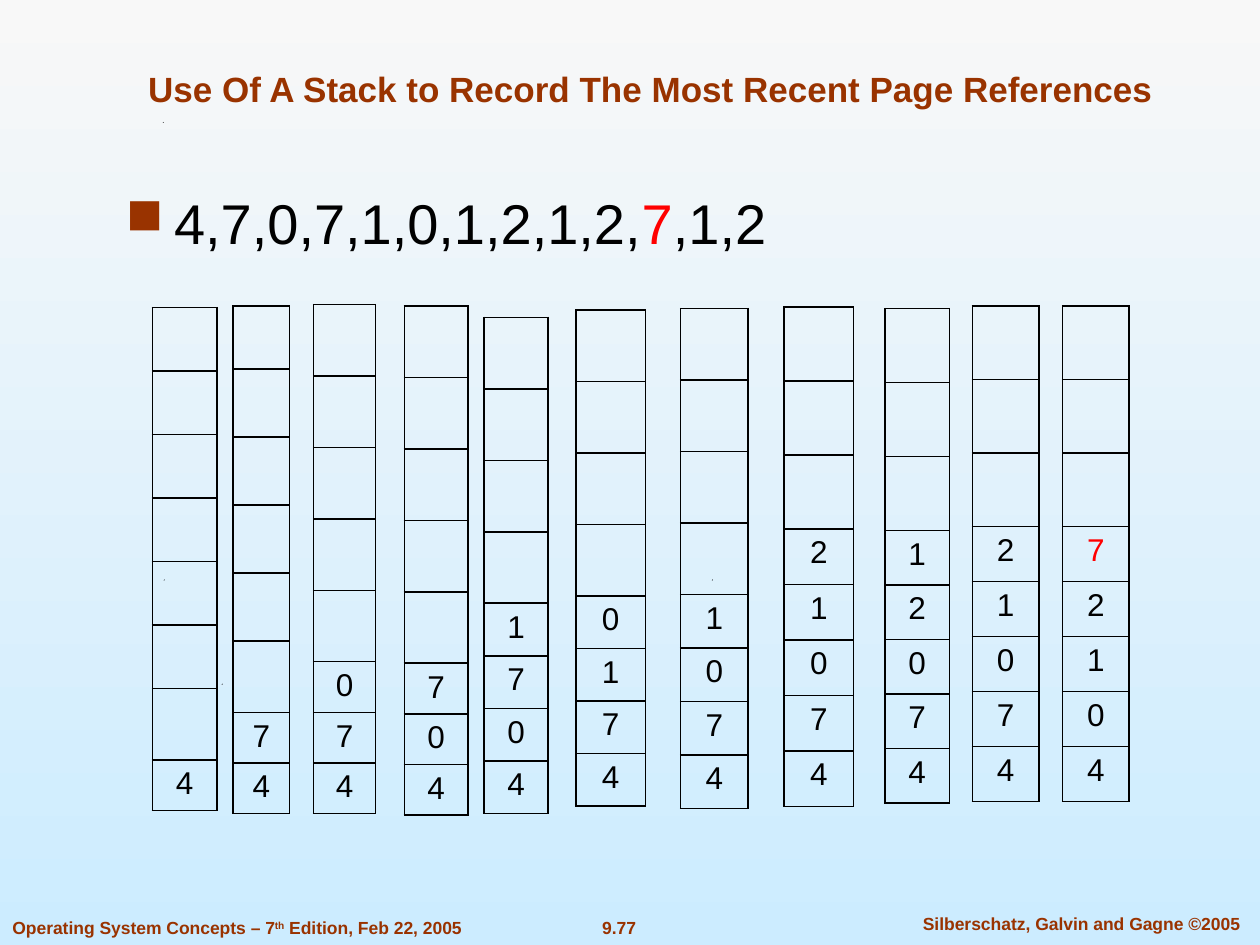
from lxml import etree
from pptx import Presentation
from pptx import util as u
from pptx.dml.color import RGBColor
from pptx.enum import text
from pptx.oxml import ns

COLOURS = {"sky_top": "F8F8F8", "sky_bottom": "CCECFF", "rust": "993300",
           "ink": "000000", "red": "FF0000"}
LEVELS = 8


class StackSlide:
    """Holds the style and the slide being drawn. Lengths are in cm."""

    font_name = "Arial"
    footer_format = {"size": u.Pt(10), "bold": True}
    title_format = {"size": u.Pt(20), "bold": True}
    body_format = {"size": u.Pt(32)}
    cell_format = {"size": u.Pt(18)}

    def __init__(self, presentation):
        self.slide = presentation.slides.add_slide(presentation.slide_layouts[5])

    def colour(self, name):
        return RGBColor.from_string(COLOURS[name])

    def set_attributes(self, item, values):
        for name, value in values.items():
            setattr(item, name, value)

    def place(self, shape, box):
        names = ("left", "top", "width", "height")
        self.set_attributes(shape, {name: u.Cm(value) for name, value in zip(names, box)})

    def add_run(self, paragraph, words, colour, font_format):
        run = paragraph.add_run()
        run.text = words
        self.set_attributes(run.font, {"name": self.font_name, **font_format})
        run.font.color.rgb = self.colour(colour)
        return run

    def background(self, top, bottom):
        fill = self.slide.background.fill
        fill.gradient()
        fill.gradient_angle = 270
        for stop, name in zip(fill.gradient_stops, (top, bottom)):
            stop.color.rgb = self.colour(name)

    def title(self, words, box):
        shape = self.slide.shapes.title
        self.place(shape, box)
        frame = shape.text_frame
        self.set_attributes(frame, {"word_wrap": True, "auto_size": text.MSO_AUTO_SIZE.NONE,
                                    "vertical_anchor": text.MSO_ANCHOR.BOTTOM})
        paragraph = frame.paragraphs[0]
        paragraph.alignment = text.PP_ALIGN.CENTER
        self.add_run(paragraph, words, "rust", self.title_format)

    def text_box(self, box, alignment, wrap=True):
        shape = self.slide.shapes.add_textbox(*map(u.Cm, box))
        shape.text_frame.word_wrap = wrap
        paragraph = shape.text_frame.paragraphs[0]
        paragraph.alignment = alignment
        return shape, paragraph

    def footer(self, parts, box, alignment, wrap=False):
        _, paragraph = self.text_box(box, alignment, wrap)
        for words, raised in parts:
            run = self.add_run(paragraph, words, "rust", self.footer_format)
            if raised:
                run.font._element.set("baseline", "30000")

    def bullet(self, parts, box):
        shape, paragraph = self.text_box(box, text.PP_ALIGN.LEFT)
        shape.text_frame.margin_top = u.Cm(0.25)
        indent = u.Cm(0.97)
        properties = paragraph._p.get_or_add_pPr()
        properties.set("marL", str(indent))
        properties.set("indent", str(-indent))
        bullet_colour = etree.SubElement(properties, ns.qn("a:buClr"))
        etree.SubElement(bullet_colour, ns.qn("a:srgbClr"), val=COLOURS["rust"])
        etree.SubElement(properties, ns.qn("a:buSzPct"), val="90000")
        etree.SubElement(properties, ns.qn("a:buChar"), char="■")
        for words, colour in parts:
            self.add_run(paragraph, words, colour, self.body_format)

    def cell_borders(self, cell):
        properties = cell._tc.get_or_add_tcPr()
        for side in ("lnL", "lnR", "lnT", "lnB"):
            line = etree.SubElement(properties, ns.qn(f"a:{side}"), w=str(u.Pt(1)))
            fill = etree.SubElement(line, ns.qn("a:solidFill"))
            etree.SubElement(fill, ns.qn("a:srgbClr"), val=COLOURS["ink"])

    def stack(self, left, top, width, empty_heights, entry_height, entries, fault=False):
        heights = empty_heights + [entry_height] * len(entries)
        frame = self.slide.shapes.add_table(
            LEVELS, 1, *map(u.Cm, (left, top, width, sum(heights))))
        table = frame.table
        self.set_attributes(table, {"first_row": False, "horz_banding": False})
        for level, (height, page) in enumerate(zip(heights, entries.rjust(LEVELS))):
            table.rows[level].height = u.Cm(height)
            cell = table.cell(level, 0)
            self.cell_borders(cell)
            cell.fill.background()
            if page != " ":
                paragraph = cell.text_frame.paragraphs[0]
                paragraph.alignment = text.PP_ALIGN.CENTER
                on_top = level == LEVELS - len(entries)
                self.add_run(paragraph, page, "red" if fault and on_top else "ink",
                             self.cell_format)

    def speck(self, left, top, size=0.02):
        x, y, side = u.Cm(left), u.Cm(top), u.Cm(size)
        builder = self.slide.shapes.build_freeform(x, y + side)
        builder.add_line_segments([(x + side, y), (x + side, y + side)], close=True)
        shape = builder.convert_to_shape()
        shape.shadow.inherit = False
        shape.fill.solid()
        shape.fill.fore_color.rgb = self.colour("ink")
        shape.line.fill.background()


def main():
    presentation = Presentation()
    presentation.slide_width, presentation.slide_height = u.Cm(25.4), u.Cm(19.05)
    page = StackSlide(presentation)
    page.background("sky_top", "sky_bottom")

    # Footer line and background specks
    centre, left = text.PP_ALIGN.CENTER, text.PP_ALIGN.LEFT
    page.footer([("9.77", False)], (11.86, 18.36, 1.24, 0.69), centre)
    page.footer([("Silberschatz, Galvin and Gagne ©2005", False)],
                (18.03, 18.29, 7.54, 0.69), centre, wrap=True)
    page.footer([("Operating System Concepts – 7", False), ("th", True),
                 (" Edition, Feb 22, 2005", False)], (0, 18.36, 9.6, 0.69), left)
    for spot in ((4.47, 13.78), (3.3, 11.68), (14.35, 11.68), (3.28, 2.46)):
        page.speck(*spot)

    # Title and reference string
    page.title("Use Of A Stack to Record The Most Recent Page References",
               (1.9, 0.64, 22.43, 1.7))
    page.bullet([("4,7,0,7,1,0,1,2,1,2,", "ink"), ("7", "red"), (",1,2", "ink")],
                (2.29, 3.56, 20.42, 1.85))

    # Stacks: left, top, width, empty heights, entry height, entries from the top
    stacks = [
        (3.07, 6.2, 1.3, [1.28] * 6 + [1.44], 1.01, "4"),
        (4.7, 6.17, 1.14, [1.27] + [1.37] * 4 + [1.44], 1.01, "74"),
        (6.32, 6.14, 1.25, [1.44] * 5, 1.02, "074"),
        (8.15, 6.17, 1.28, [1.44] * 5, 1.02, "704"),
        (9.76, 6.4, 1.29, [1.44] * 4, 1.06, "1704"),
        (11.61, 6.25, 1.4, [1.44] * 4, 1.06, "0174"),
        (13.72, 6.22, 1.36, [1.44] * 4, 1.08, "1074"),
        (15.8, 6.19, 1.41, [1.49] * 3, 1.12, "21074"),
        (17.84, 6.22, 1.3, [1.49] * 3, 1.1, "12074"),
        (19.6, 6.17, 1.34, [1.48] * 3, 1.11, "21074"),
        (21.42, 6.17, 1.34, [1.48] * 3, 1.11, "72104", True),
    ]
    for stack in stacks:
        page.stack(*stack)

    presentation.save("out.pptx")


if __name__ == "__main__":
    main()
